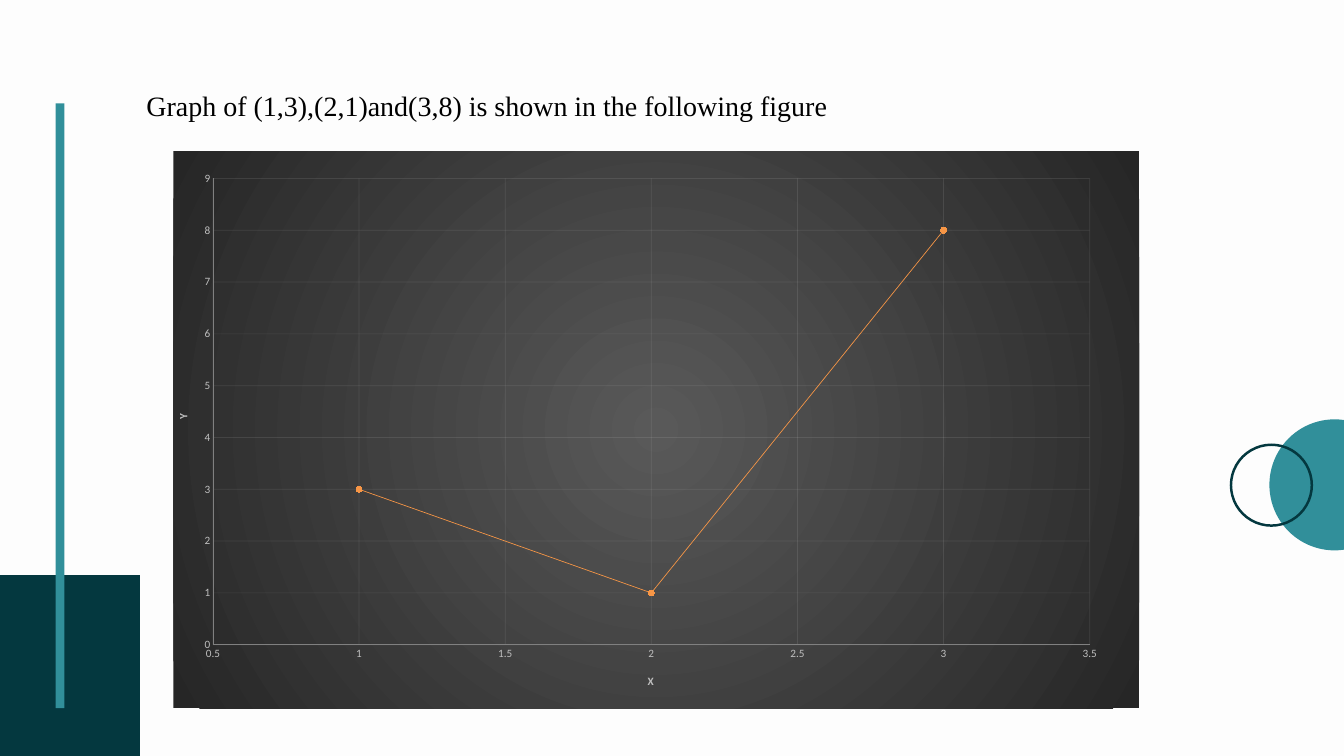
from lxml.etree import SubElement
from pptx import Presentation
from pptx.chart.data import XyChartData
from pptx.dml.color import RGBColor
from pptx.enum.chart import XL_CHART_TYPE, XL_MARKER_STYLE, XL_TICK_MARK
from pptx.enum.shapes import MSO_SHAPE
from pptx.oxml import parse_xml
from pptx.oxml.ns import nsdecls, qn
from pptx.util import Inches, Pt

COLORS = {
    "background": "FDFDFD",
    "dark": "04383F",
    "teal": "318F9A",
    "text": "000000",
    "curve": "F79646",
    "marker": "FF9034",
    "label": "BFBFBF",
    "axis": "808080",
    "grid": "F2F2F2",
    "chart_center": "595959",
    "chart_edge": "262626",
}
POINTS = [(1, 3), (2, 1), (3, 8)]
PLOT_AREA = {"x": 0.041, "y": 0.049, "w": 0.908, "h": 0.837}


def color(name):
    """Return the named colour."""
    return RGBColor.from_string(COLORS[name])


class SlideBuilder:
    """Holds the slide and its style, and adds each kind of element."""

    text_font = "Times New Roman"
    chart_font = "Calibri"

    def __init__(self, slide):
        """Keep the slide and paint its background."""
        self.slide = slide
        slide.background.fill.solid()
        slide.background.fill.fore_color.rgb = color("background")

    def shape(self, kind, bounds, fill):
        """Add a filled preset shape without an outline."""
        shape = self.slide.shapes.add_shape(kind, *map(Inches, bounds))
        shape.shadow.inherit = False
        shape.fill.solid()
        shape.fill.fore_color.rgb = color(fill)
        shape.line.fill.background()
        return shape

    def text(self, bounds, wording, size):
        """Add a one-paragraph text box."""
        box = self.slide.shapes.add_textbox(*map(Inches, bounds))
        box.text_frame.word_wrap = True
        box.text_frame.text = wording
        para = box.text_frame.paragraphs[0]
        para.line_spacing = 1.07
        para.space_after = Pt(8)
        font = para.runs[0].font
        font.name, font.size = self.text_font, Pt(size)
        font.color.rgb = color("text")

    def style_label(self, font):
        """Give a chart font its face, size and colour."""
        font.name, font.size = self.chart_font, Pt(12)
        font.color.rgb = color("label")

    def style_axis(self, axis, title, low, high, step):
        """Set the scale, title, line and grid of an axis."""
        axis.minimum_scale, axis.maximum_scale = low, high
        axis.major_unit = step
        axis.major_tick_mark = axis.minor_tick_mark = XL_TICK_MARK.NONE
        self.style_label(axis.tick_labels.font)
        axis.has_title = True
        axis.axis_title.text_frame.text = title
        title_font = axis.axis_title.text_frame.paragraphs[0].runs[0].font
        self.style_label(title_font)
        title_font.bold = True
        axis.has_major_gridlines = True
        for part, name in ((axis, "axis"), (axis.major_gridlines, "grid")):
            part.format.line.width = Pt(0.75)
            part.format.line.color.rgb = color(name)
        grid = axis._element.find(qn("c:majorGridlines"))
        grid_color = grid.find(".//" + qn("a:srgbClr"))
        SubElement(grid_color, qn("a:alpha"), val="10000")

    def style_chart_area(self, chart):
        """Fix the plot area and fill the chart with a radial gradient."""
        space = chart._chartSpace
        plot_area = space.find(".//" + qn("c:plotArea"))
        for layout in plot_area.findall(qn("c:layout")):
            plot_area.remove(layout)
        modes = "".join(f'<c:{side}Mode val="edge"/>' for side in "xy")
        values = "".join(f'<c:{k} val="{v}"/>' for k, v in PLOT_AREA.items())
        plot_area.insert(0, parse_xml(
            f'<c:layout {nsdecls("c")}><c:manualLayout>'
            f'<c:layoutTarget val="inner"/>{modes}{values}'
            "</c:manualLayout></c:layout>"))
        stops = "".join(
            f'<a:gs pos="{position}"><a:srgbClr val="{COLORS[name]}"/></a:gs>'
            for position, name in ((0, "chart_center"), (100000, "chart_edge")))
        space.find(qn("c:chart")).addnext(parse_xml(
            f'<c:spPr {nsdecls("c", "a")}><a:gradFill><a:gsLst>{stops}</a:gsLst>'
            '<a:path path="circle"><a:fillToRect l="50000" t="50000" '
            'r="50000" b="50000"/></a:path></a:gradFill>'
            "<a:ln><a:noFill/></a:ln></c:spPr>"))

    def chart(self, bounds, points):
        """Add the smooth scatter chart."""
        data = XyChartData()
        series_data = data.add_series("Series 1")
        for x, y in points:
            series_data.add_data_point(x, y)
        chart = self.slide.shapes.add_chart(
            XL_CHART_TYPE.XY_SCATTER_SMOOTH, *map(Inches, bounds), data).chart
        chart.has_legend = chart.has_title = False
        self.style_label(chart.font)
        self.style_axis(chart.category_axis, "X", 0.5, 3.5, 0.5)
        self.style_axis(chart.value_axis, "Y", 0, 9, 1)
        self.style_chart_area(chart)
        plot = chart.plots[0]
        plot.vary_by_categories = False
        series = plot.series[0]
        series.smooth = True
        series.format.line.width = Pt(0.75)
        series.format.line.color.rgb = color("curve")
        marker = series.marker
        marker.style, marker.size = XL_MARKER_STYLE.CIRCLE, 6
        marker.format.fill.solid()
        marker.format.fill.fore_color.rgb = color("marker")
        marker.format.line.fill.background()


def main():
    """Build and save the deck."""
    deck = Presentation()
    deck.slide_width, deck.slide_height = Inches(20), Inches(11.25)
    page = SlideBuilder(deck.slides.add_slide(deck.slide_layouts[6]))
    page.shape(MSO_SHAPE.RECTANGLE, (-2.46, 8.56, 4.54, 4.43), "dark")
    page.shape(MSO_SHAPE.RECTANGLE, (0.83, 1.54, 0.13, 9), "teal")
    page.shape(MSO_SHAPE.OVAL, (18.89, 6.24, 1.94, 1.95), "teal")
    ring = page.shape(MSO_SHAPE.DONUT, (18.3, 6.6, 1.24, 1.24), "dark")
    ring.adjustments[0] = 0.03
    page.chart((2.58, 2.25, 14.37, 8.29), POINTS)
    page.text((2.08, 1.23, 11.51, 0.61),
              "Graph of (1,3),(2,1)and(3,8) is shown in the following figure", 30)
    deck.save("out.pptx")


if __name__ == "__main__":
    main()
